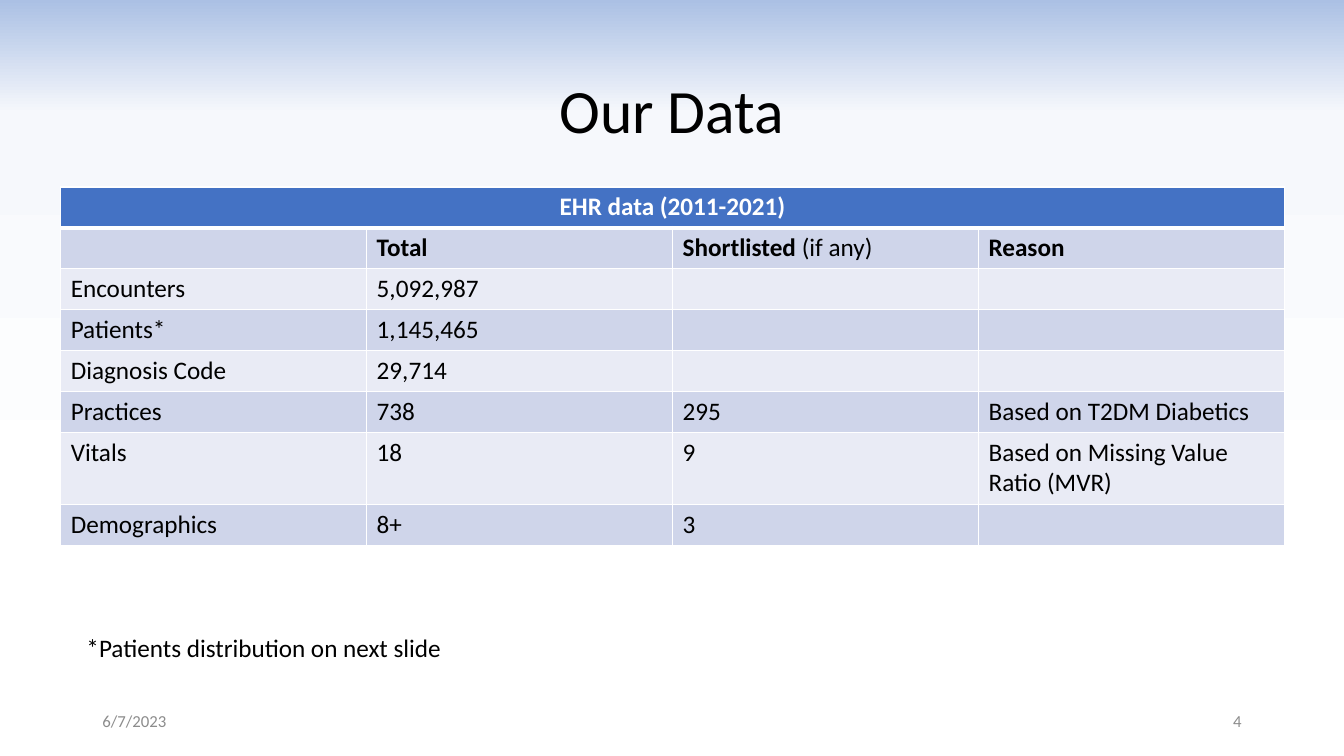
from dataclasses import dataclass

from lxml import etree
from pptx import Presentation
from pptx.dml.color import RGBColor
from pptx.enum.text import MSO_ANCHOR, PP_ALIGN
from pptx.oxml.ns import qn
from pptx.util import Cm, Pt

LEFT, CENTER, RIGHT = PP_ALIGN.LEFT, PP_ALIGN.CENTER, PP_ALIGN.RIGHT
TOP, MIDDLE = MSO_ANCHOR.TOP, MSO_ANCHOR.MIDDLE
TITLE_ONLY_LAYOUT = 5

FONT = "Calibri"
BLACK, WHITE, GREY = "000000", "FFFFFF", "8C8C8C"
HEADER_FILL, BAND_FILLS = "4472C4", ("CFD5EA", "E9EBF5")
BACKGROUND_STOPS = ((0, "ABC0E4"), (15, "F6F8FC"), (69, WHITE), (100, WHITE))

COLUMN_WIDTH, ROW_HEIGHT, TALL_ROW_HEIGHT = Cm(7.71), Cm(1.03), Cm(1.82)
TABLE_TITLE = "EHR data (2011-2021)"
COLUMN_HEADINGS = ("", "Total", "Shortlisted", "Reason")


@dataclass
class DataRow:
    label: str
    total: str
    shortlisted: str = ""
    reason: str = ""
    height: int = ROW_HEIGHT


@dataclass
class Note:
    text: str
    left: float
    top: float
    width: float
    size: int = 12
    color: str = GREY
    align: PP_ALIGN = LEFT
    anchor: MSO_ANCHOR = MIDDLE


DATA_ROWS = (
    DataRow("Encounters", "5,092,987"),
    DataRow("Patients*", "1,145,465"),
    DataRow("Diagnosis Code", "29,714"),
    DataRow("Practices", "738", "295", "Based on T2DM Diabetics"),
    DataRow("Vitals", "18", "9", "Based on Missing Value Ratio (MVR)", TALL_ROW_HEIGHT),
    DataRow("Demographics", "8+", "3"),
)
NOTES = (
    Note("*Patients distribution on next slide", 1.93, 15.8, 25.96, 18, BLACK, anchor=TOP),
    Note("6/7/2023", 2.33, 17.65, 7.62),
    Note("4", 23.92, 17.65, 7.62, align=RIGHT),
)


def rgb(color: str) -> RGBColor:
    return RGBColor.from_string(color)


def add_text(paragraph, text: str, *, size: int = 18, color: str = BLACK,
             bold: bool = False, align: PP_ALIGN = LEFT) -> None:
    """Append a formatted run to a paragraph."""
    paragraph.alignment = align
    run = paragraph.add_run()
    run.text = text
    run.font.name = FONT
    run.font.size = Pt(size)
    run.font.bold = bold
    run.font.color.rgb = rgb(color)


def set_background(slide) -> None:
    fill = slide.background.fill
    fill.gradient()
    fill.gradient_angle = 270
    stops = slide.element.find(".//" + qn("a:gsLst"))
    for stop in list(stops):
        stops.remove(stop)
    for percent, color in BACKGROUND_STOPS:
        stop = etree.SubElement(stops, qn("a:gs"), pos=str(percent * 1000))
        etree.SubElement(stop, qn("a:srgbClr"), val=color)


def style_cell(cell, fill: str, top: int = 1, bottom: int = 1) -> None:
    """Give a cell white borders, widths in points, and a solid fill."""
    properties = cell._tc.get_or_add_tcPr()
    for side, width in (("L", 1), ("R", 1), ("T", top), ("B", bottom)):
        line = etree.SubElement(properties, qn(f"a:ln{side}"), w=str(Pt(width)))
        solid = etree.SubElement(line, qn("a:solidFill"))
        etree.SubElement(solid, qn("a:srgbClr"), val=WHITE)
    cell.fill.solid()
    cell.fill.fore_color.rgb = rgb(fill)


def add_data_table(slide) -> None:
    row_count, column_count = len(DATA_ROWS) + 2, len(COLUMN_HEADINGS)
    heights = [ROW_HEIGHT, ROW_HEIGHT] + [row.height for row in DATA_ROWS]
    table = slide.shapes.add_table(
        row_count, column_count, Cm(1.53), Cm(4.71),
        COLUMN_WIDTH * column_count, sum(heights)).table
    for column in table.columns:
        column.width = COLUMN_WIDTH

    # Fills and borders
    for index, (row, height) in enumerate(zip(table.rows, heights)):
        row.height = height
        for cell in row.cells:
            if index == 0:
                style_cell(cell, HEADER_FILL, bottom=3)
            else:
                style_cell(cell, BAND_FILLS[(index - 1) % 2], top=3 if index == 1 else 1)

    # Table title across all columns
    title_cell = table.cell(0, 0)
    title_cell.merge(table.cell(0, column_count - 1))
    add_text(title_cell.text_frame.paragraphs[0], TABLE_TITLE,
             color=WHITE, bold=True, align=CENTER)

    # Column headings and values
    values = [COLUMN_HEADINGS] + [
        (row.label, row.total, row.shortlisted, row.reason) for row in DATA_ROWS]
    for row_index, texts in enumerate(values, start=1):
        for column_index, text in enumerate(texts):
            if text:
                paragraph = table.cell(row_index, column_index).text_frame.paragraphs[0]
                add_text(paragraph, text, bold=row_index == 1)
    shortlisted = COLUMN_HEADINGS.index("Shortlisted")
    add_text(table.cell(1, shortlisted).text_frame.paragraphs[0], " (if any)")


def add_note(slide, note: Note) -> None:
    box = slide.shapes.add_textbox(Cm(note.left), Cm(note.top), Cm(note.width), Cm(1.02))
    frame = box.text_frame
    frame.word_wrap = True
    frame.vertical_anchor = note.anchor
    add_text(frame.paragraphs[0], note.text,
             size=note.size, color=note.color, align=note.align)


def main() -> None:
    presentation = Presentation()
    presentation.slide_width, presentation.slide_height = Cm(33.87), Cm(19.05)
    slide = presentation.slides.add_slide(presentation.slide_layouts[TITLE_ONLY_LAYOUT])
    set_background(slide)

    # Title
    title = slide.shapes.title
    title.left, title.top, title.width, title.height = Cm(2.33), Cm(1.01), Cm(29.21), Cm(3.68)
    title.text_frame.vertical_anchor = MIDDLE
    paragraph = title.text_frame.paragraphs[0]
    paragraph.line_spacing = 0.9
    add_text(paragraph, "Our Data", size=44, align=CENTER)

    # Table, footnote, date and slide number
    add_data_table(slide)
    for note in NOTES:
        add_note(slide, note)
    presentation.save("out.pptx")


if __name__ == "__main__":
    main()
